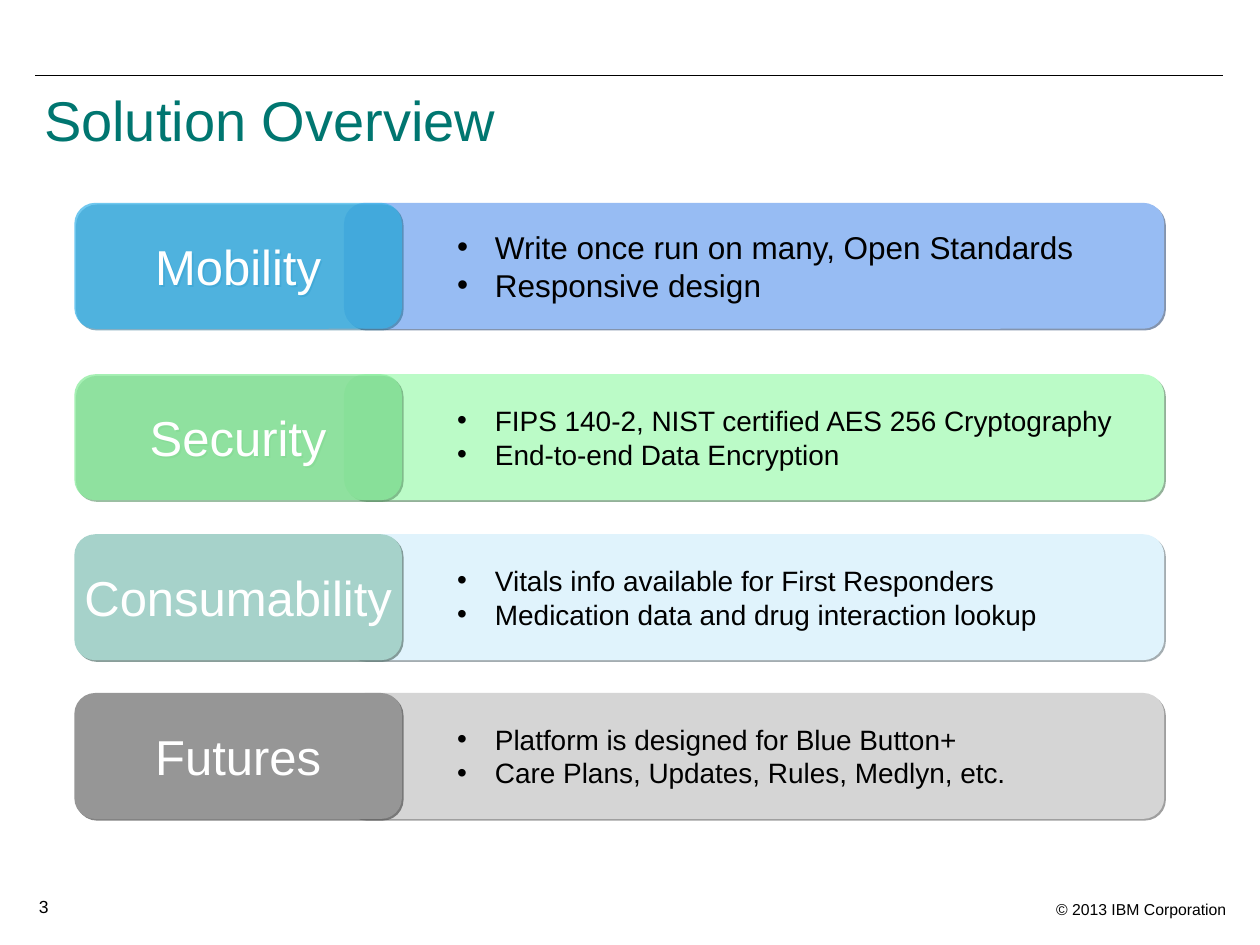
import pptx
import pptx.dml.color
import pptx.enum.shapes
import pptx.enum.text
import pptx.oxml
import pptx.oxml.ns
import pptx.util
from pptx.util import Inches

ALIGN = pptx.enum.text.PP_ALIGN
ANCHOR = pptx.enum.text.MSO_ANCHOR
NS = pptx.oxml.ns.nsdecls("a")

ROWS = [
    (1.61, "Mobility", "3AB4EA", 72, "236C8C", "97BCF3", "5B7192", 18,
     ["Write once run on many, Open Standards", "Responsive design"]),
    (2.97, "Security", "8CEC9E", 77, "548E5F", "BBFBC7", "709777", 16,
     ["FIPS 140-2, NIST certified AES 256 Cryptography", "End-to-end Data Encryption"]),
    (4.24, "Consumability", "A6D2CA", 100, "647E79", "E0F3FC", "869297", 16,
     ["Vitals info available for First Responders",
      "Medication data and drug interaction lookup"]),
    (5.5, "Futures", "969696", 100, "5A5A5A", "D5D5D5", "808080", 16,
     ["Platform is designed for Blue Button+", "Care Plans, Updates, Rules, Medlyn, etc."]),
]


def rgb(value):
    return pptx.dml.color.RGBColor.from_string(value)


def apply(target, values):
    for name, value in values.items():
        setattr(target, name, value)


def xml(markup):
    return pptx.oxml.parse_xml(markup)


def set_frame(tf, left=0.1, right=0.1, anchor=ANCHOR.TOP, wrap=True):
    apply(tf, {
        "margin_left": Inches(left), "margin_right": Inches(right),
        "margin_top": Inches(0.05), "margin_bottom": Inches(0.05),
        "vertical_anchor": anchor, "word_wrap": wrap,
        "auto_size": pptx.enum.text.MSO_AUTO_SIZE.NONE,
    })


def add_bullet(p):
    pPr = p._p.get_or_add_pPr()
    apply_indent = {"marL": Inches(0.55), "indent": Inches(-0.3)}
    for name, value in apply_indent.items():
        pPr.set(name, str(value))
    pPr.append(xml(f'<a:buClr {NS}><a:srgbClr val="000000"/></a:buClr>'))
    pPr.append(xml(f'<a:buFont {NS} typeface="Arial"/>'))
    pPr.append(xml(f'<a:buChar {NS} char="•"/>'))


def write(tf, lines, size, color, align=ALIGN.LEFT, bullets=False):
    for i, line in enumerate(lines):
        p = tf.paragraphs[0] if i == 0 else tf.add_paragraph()
        p.alignment = align
        if bullets:
            add_bullet(p)
        r = p.add_run()
        r.text = line
        apply(r.font, {"name": "Arial", "size": pptx.util.Pt(size)})
        r.font.color.rgb = rgb(color)


def add_card(s, left, top, width, fill, alpha, shadow):
    sp = s.shapes.add_shape(pptx.enum.shapes.MSO_SHAPE.ROUNDED_RECTANGLE,
                            Inches(left), Inches(top), Inches(width), Inches(1))
    sp.fill.solid()
    sp.fill.fore_color.rgb = rgb(fill)
    if alpha < 100:
        color = sp._element.spPr.find(".//" + pptx.oxml.ns.qn("a:srgbClr"))
        color.append(xml(f'<a:alpha {NS} val="{alpha * 1000}"/>'))
    sp.line.fill.background()
    sp.shadow.inherit = False
    effects = sp._element.spPr.find(pptx.oxml.ns.qn("a:effectLst"))
    effects.append(xml(
        f'<a:outerShdw {NS} blurRad="0" dist="{pptx.util.Pt(1.4)}" dir="2700000" '
        f'algn="ctr" rotWithShape="0"><a:srgbClr val="{shadow}">'
        '<a:alpha val="75000"/></a:srgbClr></a:outerShdw>'))
    return sp


def add_row(s, top, label, fill, alpha, shadow, panel_fill, panel_shadow, size, points):
    panel = add_card(s, 2.73, top, 6.51, panel_fill, 100, panel_shadow)
    set_frame(panel.text_frame, left=0.6, anchor=ANCHOR.MIDDLE)
    write(panel.text_frame, points, size, "000000", bullets=True)
    tab = add_card(s, 0.59, top, 2.6, fill, alpha, shadow)
    set_frame(tab.text_frame, anchor=ANCHOR.MIDDLE, wrap=False)
    write(tab.text_frame, [label], 28, "FFFFFF", ALIGN.CENTER)


def add_title(s, text):
    sp = s.shapes.title
    apply(sp, {"left": Inches(0.35), "top": Inches(0.63),
               "width": Inches(9.35), "height": Inches(1)})
    set_frame(sp.text_frame, left=0)
    write(sp.text_frame, [text], 32, "007670")


def add_rule(s):
    line = s.shapes.add_connector(pptx.enum.shapes.MSO_CONNECTOR.STRAIGHT,
                                  Inches(0.28), Inches(0.6), Inches(9.71), Inches(0.6))
    line.line.color.rgb = rgb("000000")
    line.line.width = pptx.util.Pt(0.75)
    line._element.spPr.append(xml(f"<a:effectLst {NS}/>"))


def add_note(s, text, left, top, width, height, size, align):
    sp = s.shapes.add_textbox(Inches(left), Inches(top), Inches(width), Inches(height))
    set_frame(sp.text_frame)
    write(sp.text_frame, [text], size, "000000", align)


def main():
    prs = pptx.Presentation()
    apply(prs, {"slide_width": Inches(10), "slide_height": Inches(7.5)})
    s = prs.slides.add_slide(prs.slide_layouts[5])
    add_rule(s)
    add_note(s, "© 2013 IBM Corporation", 6.49, 7.09, 3.34, 0.25, 9, ALIGN.RIGHT)
    add_note(s, "3", 0.21, 7.06, 0.6, 0.27, 10, ALIGN.LEFT)
    add_title(s, "Solution Overview")
    for row in ROWS:
        add_row(s, *row)
    prs.save("out.pptx")


if __name__ == "__main__":
    main()
